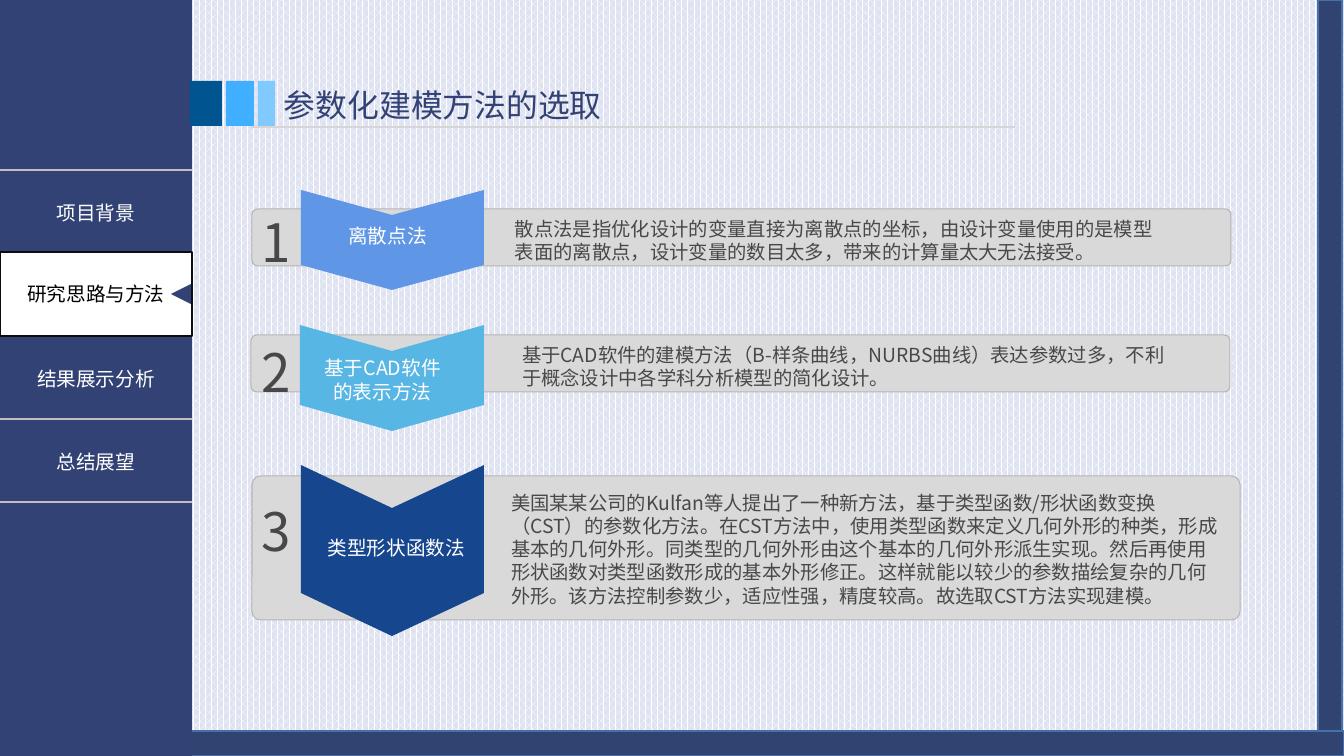
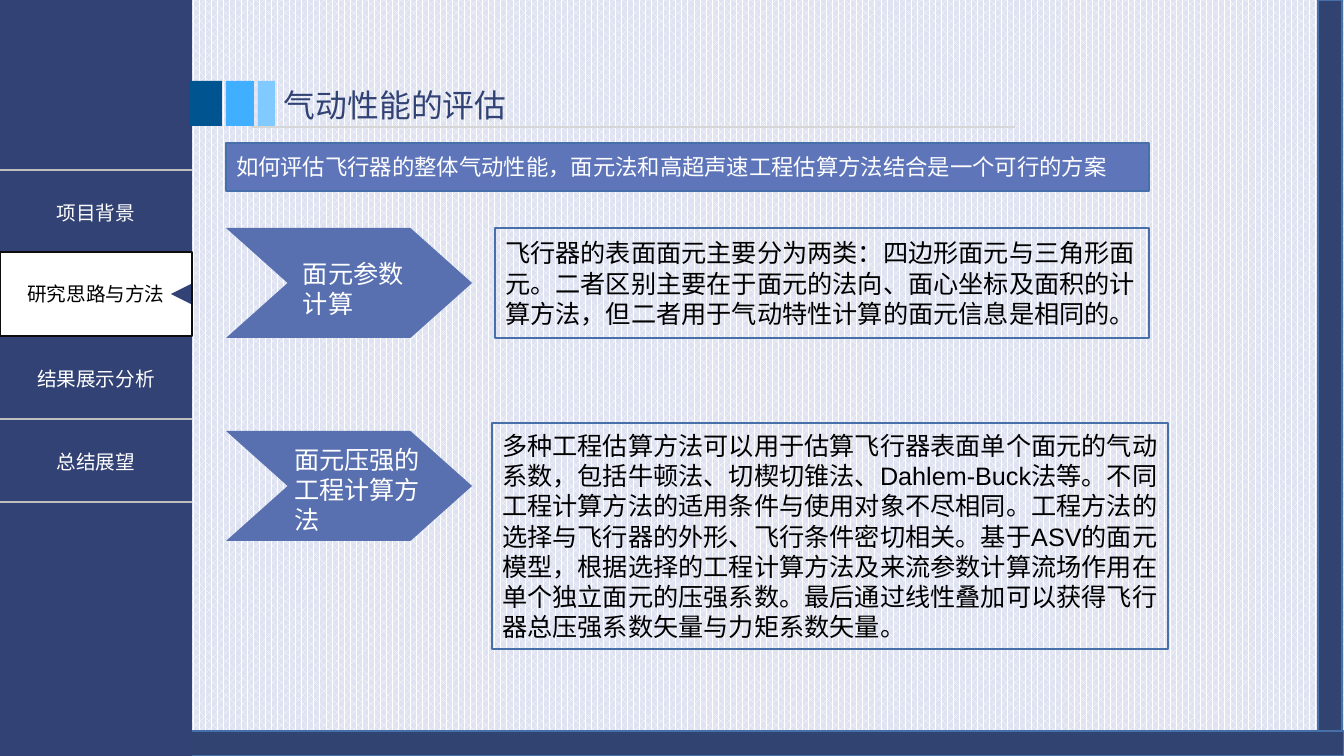
"""Build two slides on parametric modelling and aerodynamic evaluation."""
from lxml.etree import SubElement
from pptx import Presentation
from pptx.dml.color import RGBColor
from pptx.enum.dml import MSO_PATTERN
from pptx.enum.shapes import MSO_CONNECTOR, MSO_SHAPE
from pptx.enum.text import MSO_ANCHOR, MSO_AUTO_SIZE, PP_ALIGN
from pptx.oxml import parse_xml
from pptx.oxml.ns import nsdecls, qn
from pptx.util import Pt

PX = 9071
CJK = "Noto Sans CJK SC"
ARIAL = "Arial"
NAVY = RGBColor(0x32, 0x42, 0x74)
FRAME = RGBColor(0x30, 0x43, 0x71)
EDGE = RGBColor(0x47, 0x6F, 0xAA)
WHITE = RGBColor(0xFF, 0xFF, 0xFF)
BLACK = RGBColor(0, 0, 0)
OUTLINE = RGBColor(0x0D, 0x0D, 0x0D)
PALE = RGBColor(0xDF, 0xE3, 0xF1)
RULE = RGBColor(0xD6, 0xD6, 0xD6)
CARD = RGBColor(0xD9, 0xD9, 0xD9)
CARD_EDGE = RGBColor(0xB5, 0xB5, 0xB7)
GRAY = RGBColor(0x48, 0x48, 0x49)
DEEP_BLUE = RGBColor(0x00, 0x54, 0x90)
SKY_BLUE = RGBColor(0x40, 0xAF, 0xFF)
LIGHT_BLUE = RGBColor(0x80, 0xCA, 0xFF)
CORNFLOWER = RGBColor(0x60, 0x96, 0xE6)
CYAN = RGBColor(0x58, 0xB6, 0xE5)
ROYAL = RGBColor(0x16, 0x46, 0x8D)
ARROW = RGBColor(0x58, 0x70, 0xB0)
BANNER = RGBColor(0x5E, 0x75, 0xBA)
MENU = ["项目背景", "研究思路与方法", "结果展示分析", "总结展望"]
ACTIVE = 1


def box(s, kind, x, y, w, h, fill=None, line=None, width=1):
    pos = [v * PX for v in (x, y, w, h)]
    if kind is None:
        return s.shapes.add_textbox(*pos)
    sp = s.shapes.add_shape(kind, *pos)
    sp.shadow.inherit = False
    if fill is None:
        sp.fill.background()
    else:
        sp.fill.solid()
        sp.fill.fore_color.rgb = fill
    if line is None:
        sp.line.fill.background()
    else:
        sp.line.color.rgb = line
        sp.line.width = Pt(width)
    return sp


def write(tf, text, size, color, font=CJK, align=PP_ALIGN.LEFT, anchor=MSO_ANCHOR.TOP, inset=10):
    tf.word_wrap = True
    tf.auto_size = MSO_AUTO_SIZE.NONE
    tf.vertical_anchor = anchor
    tf.margin_left = tf.margin_right = inset * PX
    tf.margin_top = tf.margin_bottom = 5 * PX
    p = tf.paragraphs[0]
    p.alignment = align
    r = p.add_run()
    r.text = text
    r.font.size = Pt(size)
    r.font.name = font
    r.font.color.rgb = color
    rPr = r._r.get_or_add_rPr()
    rPr.set("lang", "zh-CN")
    SubElement(rPr, qn("a:ea")).set("typeface", CJK)


prs = Presentation()
prs.slide_width = 1344 * PX
prs.slide_height = 756 * PX
bg = prs.slide_master.background.fill
bg.patterned()
bg.pattern = MSO_PATTERN.PERCENT_60
bg.fore_color.rgb = WHITE
bg.back_color.rgb = PALE

slides = []
for title in ["参数化建模方法的选取", "气动性能的评估"]:
    s = prs.slides.add_slide(prs.slide_layouts[5])
    slides.append(s)
    sp = s.shapes.title
    sp.left, sp.top, sp.width, sp.height = [v * PX for v in (274, 81, 847, 48)]
    write(sp.text_frame, title, 22.7, NAVY)

    box(s, MSO_SHAPE.RECTANGLE, 0, 731, 1344, 25, FRAME, EDGE)
    box(s, MSO_SHAPE.RECTANGLE, 1318, 0, 24, 731, FRAME, EDGE)
    box(s, MSO_SHAPE.RECTANGLE, 0, 0, 192, 756, NAVY)

    gf = s.shapes.add_table(len(MENU), 1, 0, 170 * PX, 192 * PX, 83 * len(MENU) * PX)
    table = gf.table
    table.first_row = table.horz_banding = False
    for i, item in enumerate(MENU):
        cell = table.cell(i, 0)
        cell.vertical_anchor = MSO_ANCHOR.MIDDLE
        cell.fill.solid()
        cell.fill.fore_color.rgb = NAVY
        if i != ACTIVE:
            write(cell.text_frame, item, 14, WHITE, align=PP_ALIGN.CENTER)
        tcPr = cell._tc.get_or_add_tcPr()
        for j, side in enumerate("LRTB"):
            paint = '<a:solidFill><a:srgbClr val="BFBFBF"/></a:solidFill>' if side in "TB" else "<a:noFill/>"
            tcPr.insert(j, parse_xml(f'<a:ln{side} {nsdecls("a")} w="12700">{paint}</a:ln{side}>'))

    sp = box(s, MSO_SHAPE.RECTANGLE, 0, 252, 192, 84, WHITE, OUTLINE, 1.5)
    write(sp.text_frame, MENU[ACTIVE], 14, BLACK, align=PP_ALIGN.CENTER, anchor=MSO_ANCHOR.MIDDLE)
    box(s, MSO_SHAPE.ISOSCELES_TRIANGLE, 171, 284, 20, 20, NAVY).rotation = 270

    for x, w, color in [(258, 17, LIGHT_BLUE), (226, 28, SKY_BLUE), (190, 32, DEEP_BLUE)]:
        box(s, MSO_SHAPE.RECTANGLE, x, 81, w, 45, color)
    rule = s.shapes.add_connector(MSO_CONNECTOR.STRAIGHT, 251 * PX, 127 * PX, 1015 * PX, 127 * PX)
    rule.line.color.rgb = RULE
    rule.line.width = Pt(1.5)
    SubElement(rule._element.spPr, qn("a:effectLst"))

s = slides[0]
methods = [
    ("离散点法", CORNFLOWER, (252, 209, 979, 57), 0.1, (301, 190, 183, 100, 25),
     (311, 219, 153, 33), 205, (505, 212, 663, 57),
     "散点法是指优化设计的变量直接为离散点的坐标，由设计变量使用的是模型表面的离散点，设计变量的数目太多，带来的计算量太大无法接受。"),
    ("基于CAD软件的表示方法", CYAN, (251, 335, 979, 57), 0.1, (300, 325, 184, 106, 26),
     (314, 351, 137, 57), 335, (512, 338, 672, 57),
     "基于CAD软件的建模方法（B-样条曲线，NURBS曲线）表达参数过多，不利于概念设计中各学科分析模型的简化设计。"),
    ("类型形状函数法", ROYAL, (252, 476, 988, 144), 0.06, (301, 465, 183, 171, 43),
     (314, 531, 165, 33), 494, (501, 486, 729, 128),
     "美国某某公司的Kulfan等人提出了一种新方法，基于类型函数/形状函数变换（CST）的参数化方法。"
     "在CST方法中，使用类型函数来定义几何外形的种类，形成基本的几何外形。"
     "同类型的几何外形由这个基本的几何外形派生实现。然后再使用形状函数对类型函数形成的基本外形修正。"
     "这样就能以较少的参数描绘复杂的几何外形。该方法控制参数少，适应性强，精度较高。故选取CST方法实现建模。"),
]
for n, (name, color, card, corner, ribbon, label, num_y, body, text) in enumerate(methods, 1):
    sp = box(s, MSO_SHAPE.ROUNDED_RECTANGLE, *card, CARD, CARD_EDGE, 0)
    sp.adjustments[0] = corner

    x, y, w, h, notch = ribbon
    fb = s.shapes.build_freeform(x + w, y, PX)
    fb.add_line_segments([(x + w, y + h - notch), (x + w / 2, y + h), (x, y + h - notch),
                          (x, y), (x + w / 2, y + notch)])
    sp = fb.convert_to_shape()
    sp.shadow.inherit = False
    sp.fill.solid()
    sp.fill.fore_color.rgb = color
    sp.line.fill.background()

    write(box(s, None, *label).text_frame, name, 14, WHITE, align=PP_ALIGN.CENTER, inset=9)
    write(box(s, None, 247, num_y, 59, 74).text_frame, str(n), 37.8, GRAY, align=PP_ALIGN.CENTER, inset=9)
    write(box(s, None, *body).text_frame, text, 13.8, GRAY)

s = slides[1]
sp = box(s, MSO_SHAPE.RECTANGLE, 226, 143, 923, 48, BANNER, EDGE)
write(sp.text_frame, "如何评估飞行器的整体气动性能，面元法和高超声速工程估算方法结合是一个可行的方案",
      16, WHITE, ARIAL, anchor=MSO_ANCHOR.MIDDLE)
steps = [
    ("面元参数计算", 228, (293, 253, 145, 72), (495, 228, 654, 110),
     "飞行器的表面面元主要分为两类：四边形面元与三角形面元。"
     "二者区别主要在于面元的法向、面心坐标及面积的计算方法，但二者用于气动特性计算的面元信息是相同的。"),
    ("面元压强的工程计算方法", 431, (284, 439, 163, 102), (492, 423, 676, 226),
     "多种工程估算方法可以用于估算飞行器表面单个面元的气动系数，包括牛顿法、切楔切锥法、Dahlem-Buck法等。"
     "不同工程计算方法的适用条件与使用对象不尽相同。工程方法的选择与飞行器的外形、飞行条件密切相关。"
     "基于ASV的面元模型，根据选择的工程计算方法及来流参数计算流场作用在单个独立面元的压强系数。"
     "最后通过线性叠加可以获得飞行器总压强系数矢量与力矩系数矢量。"),
]
for name, y, label, body, text in steps:
    sp = box(s, MSO_SHAPE.CHEVRON, 226, y, 246, 110, ARROW)
    sp.adjustments[0] = 0.56
    write(box(s, None, *label).text_frame, name, 18, WHITE, ARIAL)
    sp = box(s, MSO_SHAPE.RECTANGLE, *body, None, EDGE)
    write(sp.text_frame, text, 18, BLACK, ARIAL, anchor=MSO_ANCHOR.MIDDLE)

prs.save("out.pptx")
